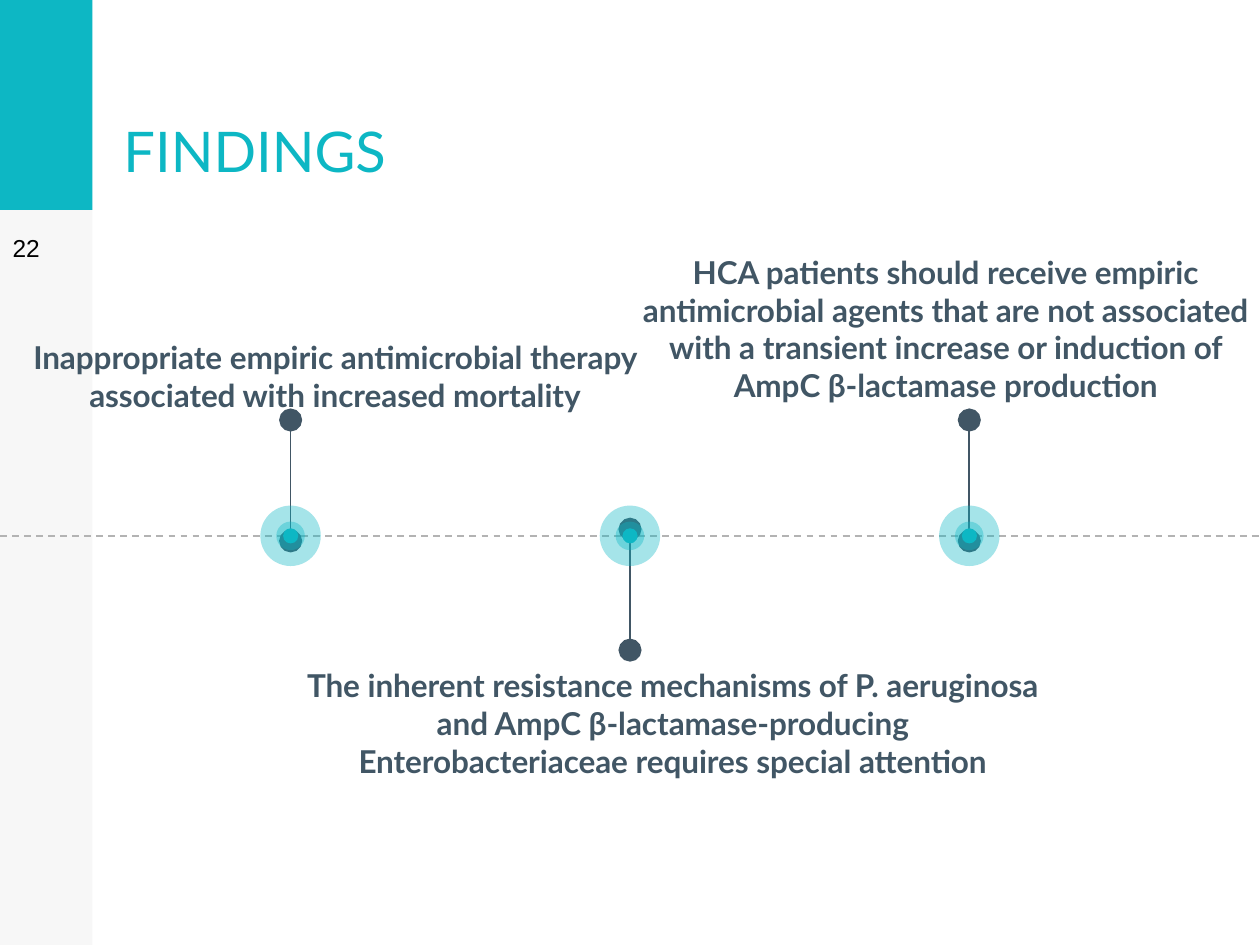
import pptx
import pptx.util
import pptx.dml.color
import pptx.enum.dml
import pptx.enum.shapes
import pptx.enum.text
import pptx.oxml
import pptx.oxml.ns
import lxml.etree

Inches = pptx.util.Inches
Pt = pptx.util.Pt
RGBColor = pptx.dml.color.RGBColor
MSO_SHAPE = pptx.enum.shapes.MSO_SHAPE
ANCHOR = pptx.enum.text.MSO_ANCHOR
ALIGN = pptx.enum.text.PP_ALIGN
qn = pptx.oxml.ns.qn

COLORS = {
    "teal": "0DB7C4",
    "slate": "415665",
    "sidebar": "F7F7F7",
    "axis": "B3B3B3",
    "black": "000000",
}
AXIS_Y = 3.19


def write_text(box, text, size, font, color, align, anchor, bold=False):
    frame = box.text_frame
    frame.word_wrap = True
    frame.auto_size = pptx.enum.text.MSO_AUTO_SIZE.NONE
    frame.vertical_anchor = anchor
    frame.margin_left = frame.margin_right = Pt(5.4)
    frame.margin_top = frame.margin_bottom = Pt(5.4)
    paragraph = frame.paragraphs[0]
    paragraph.alignment = align
    run = paragraph.add_run()
    run.text = text
    run.font.size = Pt(size)
    run.font.name = font
    run.font.bold = bold
    run.font.color.rgb = RGBColor.from_string(COLORS[color])


def draw_line(start, end, color):
    line = slide.shapes.add_connector(
        pptx.enum.shapes.MSO_CONNECTOR.STRAIGHT,
        Inches(start[0]), Inches(start[1]), Inches(end[0]), Inches(end[1]))
    line.line.color.rgb = RGBColor.from_string(COLORS[color])
    line.line.width = Pt(0.75)
    lxml.etree.SubElement(line._element.spPr, qn("a:effectLst"))
    return line


prs = pptx.Presentation()
prs.slide_width = Inches(7.5)
prs.slide_height = prs.slide_width * 3 // 4
slide = prs.slides.add_slide(prs.slide_layouts[5])

for height, color in [(prs.slide_height, "sidebar"), (Inches(1.25), "teal")]:
    band = slide.shapes.add_shape(
        MSO_SHAPE.RECTANGLE, 0, 0, Inches(0.55), height)
    band.shadow.inherit = False
    band.fill.solid()
    band.fill.fore_color.rgb = RGBColor.from_string(COLORS[color])
    band.line.fill.background()

title = slide.shapes.title
title.left, title.top = Inches(0.66), Inches(0.23)
title.width, title.height = Inches(2.91), Inches(0.94)
write_text(title, "FINDINGS", 24, "Lato", "teal", ALIGN.LEFT, ANCHOR.BOTTOM)

page_number = slide.shapes.add_textbox(0, Inches(0.7), Inches(0.55), Inches(0.94))
write_text(page_number, "22", 10.5, "Arial", "black", ALIGN.LEFT, ANCHOR.BOTTOM)

axis = draw_line((0, AXIS_Y), (7.5, AXIS_Y), "axis")
axis.line.dash_style = pptx.enum.dml.MSO_LINE.DASH

findings = [
    (1.73, 3.22, 2.5, (-0.12, 1.94, 4.23),
     "Inappropriate empiric antimicrobial therapy associated with increased mortality"),
    (3.75, 3.15, 3.87, (1.73, 3.89, 4.55),
     "The inherent resistance mechanisms of P. aeruginosa and AmpC β-lactamase-producing "
     "Enterobacteriaceae requires special attention"),
    (5.77, 3.22, 2.5, (3.71, 1.43, 3.84),
     "HCA patients should receive empiric antimicrobial agents that are not associated "
     "with a transient increase or induction of AmpC β-lactamase production"),
]
rings = [(0.36, 37), (0.17, 37), (0.09, 100)]

for x, stem_start, stem_end, (left, top, width), finding in findings:
    stem = draw_line((x, stem_start), (x, stem_end), "slate")
    for end in ("a:headEnd", "a:tailEnd"):
        lxml.etree.SubElement(stem.line._get_or_add_ln(), qn(end),
                              type="oval", w="lg", len="lg")

    caption = slide.shapes.add_textbox(
        Inches(left), Inches(top), Inches(width), Inches(0.34))
    write_text(caption, finding, 13.5, "Lato", "slate", ALIGN.CENTER, ANCHOR.TOP, True)

    marker = slide.shapes.add_group_shape()
    for diameter, opacity in rings:
        ring = marker.shapes.add_shape(
            MSO_SHAPE.OVAL, Inches(x - diameter / 2), Inches(AXIS_Y - diameter / 2),
            Inches(diameter), Inches(diameter))
        ring.shadow.inherit = False
        ring.fill.solid()
        ring.fill.fore_color.rgb = RGBColor.from_string(COLORS["teal"])
        ring.line.fill.background()
        if opacity < 100:
            tint = ring._element.spPr.find(qn("a:solidFill")).find(qn("a:srgbClr"))
            lxml.etree.SubElement(tint, qn("a:alpha"), val=str(opacity * 1000))

prs.save("out.pptx")
